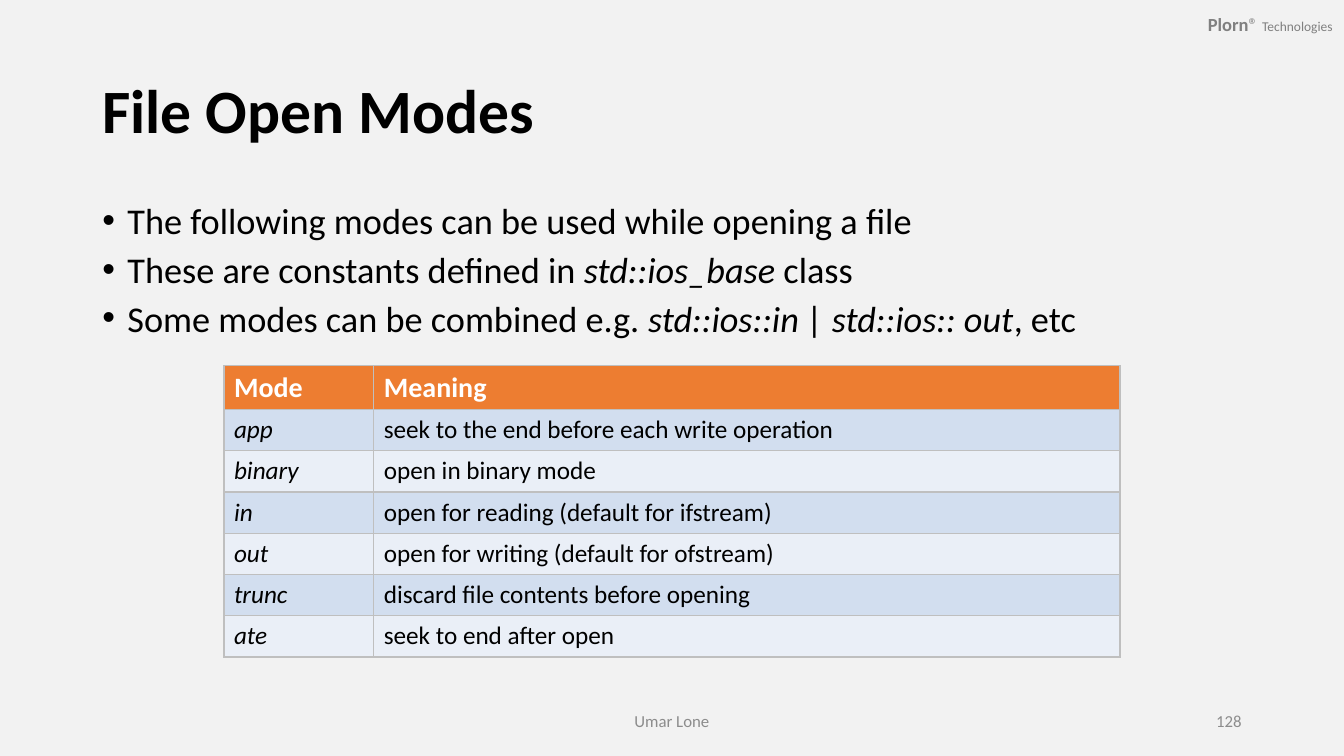
from lxml import etree
from pptx import Presentation
from pptx.dml.color import RGBColor
from pptx.enum.text import MSO_ANCHOR as ANCHOR, PP_ALIGN as ALIGN
from pptx.oxml.ns import qn
from pptx.util import Pt

FONT = "Calibri"
COLORS = {
    "background": "F2F2F2", "text": "000000", "brand": "808080",
    "footer": "8C8C8C", "header": "ED7D31", "header_text": "FFFFFF",
    "odd_row": "D2DEEF", "even_row": "EAEFF7", "border": "BFBFBF",
}
# Each bullet is a list of (text, italic) runs.
BULLETS = [
    [("The following modes can be used while opening a file", False)],
    [("These are constants defined in ", False), ("std::ios_base ", True),
     ("class", False)],
    [("Some modes can be combined e.g. ", False),
     ("std::ios::in | std::ios:: out", True), (", etc", False)],
]
MODES = [
    ("Mode", "Meaning"),
    ("app", "seek to the end before each write operation"),
    ("binary", "open in binary mode"),
    ("in", "open for reading (default for ifstream)"),
    ("out", "open for writing (default for ofstream)"),
    ("trunc", "discard file contents before opening"),
    ("ate", "seek to end after open"),
]


def rgb(name):
    return RGBColor.from_string(COLORS[name])


def style_run(r, size, color, bold=False, italic=False):
    r.font.name = FONT
    r.font.size = Pt(size)
    r.font.color.rgb = rgb(color)
    r.font.bold = bold
    r.font.italic = italic


def add_run(p, text, size, color, **style):
    r = p.add_run()
    r.text = text
    style_run(r, size, color, **style)


def add_text_box(s, left, top, width, height, anchor=ANCHOR.MIDDLE):
    box = s.shapes.add_textbox(Pt(left), Pt(top), Pt(width), Pt(height))
    tf = box.text_frame
    tf.word_wrap = True
    tf.vertical_anchor = anchor
    return tf


def add_brand(s):
    tf = add_text_box(s, 821.5, 0.7, 139, 32.4)
    tf.margin_left = tf.margin_right = Pt(8.64)
    tf.margin_top = tf.margin_bottom = Pt(4.32)
    p = tf.paragraphs[0]
    p.alignment = ALIGN.RIGHT
    add_run(p, "Plorn", 13.2, "brand", bold=True)
    add_run(p, "® ", 13.2, "brand")
    add_run(p, "Technologies", 9.6, "brand")


def set_title(s, text):
    title = s.shapes.title
    title.left, title.top = Pt(66), Pt(28.8)
    title.width, title.height = Pt(828), Pt(104.4)
    tf = title.text_frame
    tf.text = text
    tf.vertical_anchor = ANCHOR.MIDDLE
    p = tf.paragraphs[0]
    p.alignment = ALIGN.LEFT
    p.line_spacing = 0.9
    style_run(p.runs[0], 44, "text", bold=True)


def set_bullet(p, indent):
    pPr = p._p.get_or_add_pPr()
    pPr.set("marL", str(Pt(indent)))
    pPr.set("indent", str(-Pt(indent)))
    etree.SubElement(pPr, qn("a:buFont"), typeface="Arial")
    etree.SubElement(pPr, qn("a:buChar"), char="•")


def add_bullets(s):
    tf = add_text_box(s, 66, 144, 828, 106.6, ANCHOR.TOP)
    for i, runs in enumerate(BULLETS):
        p = tf.add_paragraph() if i else tf.paragraphs[0]
        p.line_spacing = 0.8
        p.space_before = Pt(10)
        set_bullet(p, 18)
        for text, italic in runs:
            add_run(p, text, 25.9, "text", italic=italic)


def set_borders(cell):
    tcPr = cell._tc.get_or_add_tcPr()
    for i, side in enumerate(("lnL", "lnR", "lnT", "lnB")):
        ln = etree.Element(qn(f"a:{side}"), w=str(Pt(1)))
        fill = etree.SubElement(ln, qn("a:solidFill"))
        etree.SubElement(fill, qn("a:srgbClr"), val=COLORS["border"])
        tcPr.insert(i, ln)


def add_modes_table(s):
    row_height = 29.5
    frame = s.shapes.add_table(len(MODES), 2, Pt(160), Pt(261.2), Pt(640),
                               Pt(row_height * len(MODES)))
    table = frame.table
    for column, width in zip(table.columns, (107, 533)):
        column.width = Pt(width)
    for i, row in enumerate(MODES):
        table.rows[i].height = Pt(row_height)
        header = i == 0
        fill = "header" if header else "odd_row" if i % 2 else "even_row"
        for j, text in enumerate(row):
            cell = table.cell(i, j)
            cell.text = text
            cell.fill.solid()
            cell.fill.fore_color.rgb = rgb(fill)
            set_borders(cell)
            r = cell.text_frame.paragraphs[0].runs[0]
            if header:
                style_run(r, 20, "header_text", bold=True)
            else:
                style_run(r, 18, "text", italic=j == 0)


def add_footer(s, text, left, width, alignment):
    p = add_text_box(s, left, 500.5, width, 28.8).paragraphs[0]
    p.alignment = alignment
    add_run(p, text, 12, "footer")


def main():
    prs = Presentation()
    prs.slide_width, prs.slide_height = Pt(960), Pt(540)
    s = prs.slides.add_slide(prs.slide_layouts[5])
    s.background.fill.solid()
    s.background.fill.fore_color.rgb = rgb("background")
    add_brand(s)
    set_title(s, "File Open Modes")
    add_bullets(s)
    add_modes_table(s)
    add_footer(s, "Umar Lone", 318, 324, ALIGN.CENTER)
    add_footer(s, "128", 678, 216, ALIGN.RIGHT)
    prs.save("out.pptx")


if __name__ == "__main__":
    main()
